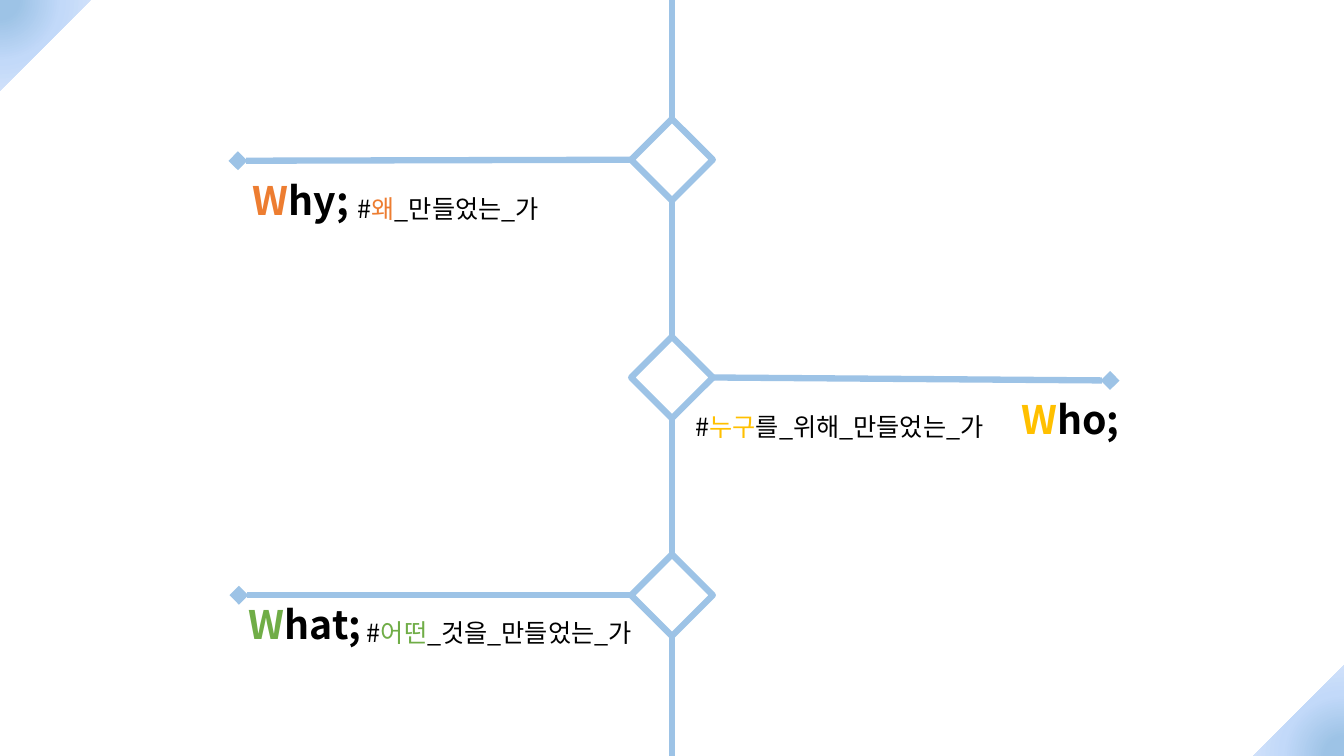
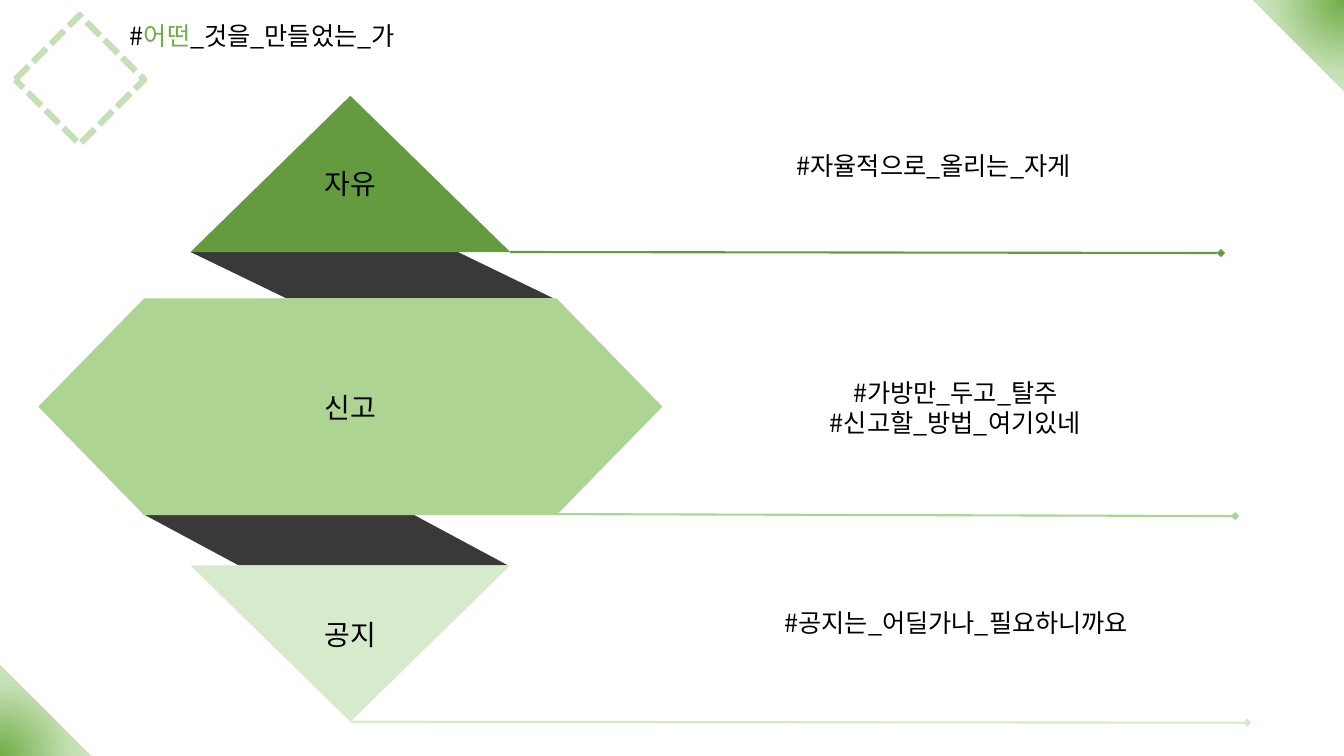
from dataclasses import dataclass

from pptx import Presentation
from pptx.dml.color import RGBColor
from pptx.enum.dml import MSO_LINE
from pptx.enum.shapes import MSO_CONNECTOR, MSO_SHAPE
from pptx.enum.text import PP_ALIGN
from pptx.oxml import parse_xml
from pptx.oxml.ns import nsdecls, qn
from pptx.oxml.xmlchemy import OxmlElement
from pptx.util import Inches, Pt


@dataclass(frozen=True)
class Theme:
    font: str = "Noto Sans CJK KR"
    caption_size: int = 18
    label_size: int = 20
    heading_size: int = 28
    thick_line: float = 4.5
    thin_line: float = 1.5
    text: str = "000000"
    white: str = "FFFFFF"
    blue: str = "9DC3E6"
    orange: str = "ED7D31"
    yellow: str = "FFC000"
    green: str = "70AD47"
    pale_green: str = "C5E0B4"
    ribbon: str = "3B3838"
    tier_dark: str = "639B3E"
    tier_middle: str = "AED494"
    tier_light: str = "D7EACB"
    blue_glow: tuple = ((14, "9DC3E6"), (48, "C2D9F9"), (100, "E2EBFB"))
    green_glow: tuple = ((0, "70AD47"), (56, "C5E0B4"), (100, "E2F0D9"))


THEME = Theme()
SLIDE_WIDTH, SLIDE_HEIGHT = 13.33, 7.5
WHAT_CAPTION = (("#", THEME.text), ("어떤", THEME.green), ("_것을_만들었는_가", THEME.text))


def color(value):
    return RGBColor.from_string(value)


def inches(*values):
    return [Inches(value) for value in values]


def paint(shape, fill=None, outline=None):
    shape.shadow.inherit = False
    if fill:
        shape.fill.solid()
        shape.fill.fore_color.rgb = color(fill)
    else:
        shape.fill.background()
    if outline:
        shape.line.color.rgb = color(outline)
        shape.line.width = Pt(THEME.thick_line)
    else:
        shape.line.fill.background()
    return shape


def add_preset(slide, preset, box, fill=None, outline=None):
    return paint(slide.shapes.add_shape(preset, *inches(*box)), fill, outline)


def add_polygon(slide, points, fill):
    corners = [tuple(inches(*point)) for point in points]
    builder = slide.shapes.build_freeform(*corners[0])
    builder.add_line_segments(corners[1:], close=True)
    return paint(builder.convert_to_shape(), fill)


def add_line(slide, start, end, line_color, width, diamond_end=True):
    connector = slide.shapes.add_connector(
        MSO_CONNECTOR.STRAIGHT, *inches(*start, *end))
    connector.line.color.rgb = color(line_color)
    connector.line.width = Pt(width)
    if diamond_end:
        tail = OxmlElement("a:tailEnd")
        tail.set("type", "diamond")
        connector.line._get_or_add_ln().append(tail)
    connector._element.spPr.append(OxmlElement("a:effectLst"))


def add_text(slide, box, paragraphs, size, align=PP_ALIGN.LEFT, bold=False):
    """Write paragraphs, each a sequence of (text, colour) runs."""
    frame = slide.shapes.add_textbox(*inches(*box)).text_frame
    frame.word_wrap = True
    for index, runs in enumerate(paragraphs):
        paragraph = frame.add_paragraph() if index else frame.paragraphs[0]
        paragraph.alignment = align
        font = paragraph.font
        font.name, font.size, font.bold = THEME.font, Pt(size), bold
        east_asian = OxmlElement("a:ea")
        east_asian.set("typeface", THEME.font)
        paragraph._p.pPr.find(qn("a:defRPr")).append(east_asian)
        for text, run_color in runs:
            run = paragraph.add_run()
            run.text = text
            run.font.color.rgb = color(run_color)


def add_corner_glow(slide, center_x, center_y, stops):
    """Diamond centred on a slide corner, fading outwards."""
    radius = 0.9
    box = (center_x - radius, center_y - radius, 2 * radius, 2 * radius)
    shape = add_preset(slide, MSO_SHAPE.DIAMOND, box)
    stop_xml = "".join(
        f'<a:gs pos="{position * 1000}"><a:srgbClr val="{value}"/></a:gs>'
        for position, value in stops)
    gradient = parse_xml(
        f'<a:gradFill {nsdecls("a")} rotWithShape="1"><a:gsLst>{stop_xml}</a:gsLst>'
        '<a:path path="circle"><a:fillToRect l="50000" t="50000" r="50000" b="50000"/>'
        '</a:path></a:gradFill>')
    properties = shape._element.spPr
    properties.replace(properties.find(qn("a:noFill")), gradient)


def add_timeline_entry(slide, top, tip, heading, heading_at, caption, caption_at):
    """Diamond, branch line and texts; tip and texts are offsets from top."""
    size = 0.81
    left = SLIDE_WIDTH / 2 - size / 2
    middle = top + size / 2
    add_preset(slide, MSO_SHAPE.DIAMOND, (left, top, size, size), THEME.white, THEME.blue)
    tip_x, tip_drop = tip
    edge = left + 0.03 if tip_x < left else left + size
    add_line(slide, (edge, middle), (tip_x, middle + tip_drop), THEME.blue, THEME.thick_line)
    accent = caption[1][1]
    runs = ((heading[0], accent), (heading[1:], THEME.text))
    heading_x, heading_drop = heading_at
    add_text(slide, (heading_x, top + heading_drop, 1.97, 0.57), [runs],
             THEME.heading_size, bold=True)
    caption_x, caption_drop, caption_width = caption_at
    add_text(slide, (caption_x, top + caption_drop, caption_width, 0.4), [caption],
             THEME.caption_size)


def build_timeline_slide(slide):
    axis = SLIDE_WIDTH / 2
    add_line(slide, (axis, 0), (axis, SLIDE_HEIGHT), THEME.blue, THEME.thick_line,
             diamond_end=False)
    why = (("#", THEME.text), ("왜", THEME.orange), ("_만들었는_가", THEME.text))
    who = (("#", THEME.text), ("누구", THEME.yellow), ("를_위해_만들었는_가", THEME.text))
    entries = (
        ((2.36, 0.01), "Why;", (2.41, 0.52), why, (3.45, 0.69, 2.06)),
        ((11.01, 0.03), "Who;", (10.03, 0.53), who, (6.8, 0.69, 3.17)),
        ((2.37, 0), "What;", (2.37, 0.41), WHAT_CAPTION, (3.54, 0.58, 3.02)),
    )
    for index, entry in enumerate(entries):
        add_timeline_entry(slide, 1.18 + 2.16 * index, *entry)
    add_corner_glow(slide, 0, 0, THEME.blue_glow)
    add_corner_glow(slide, SLIDE_WIDTH, SLIDE_HEIGHT, THEME.blue_glow)


def add_ribbon(slide, left, top, width, height):
    """Dark band leaning to the right as it descends."""
    shape = add_preset(slide, MSO_SHAPE.PARALLELOGRAM, (left, top, width, height),
                       THEME.ribbon)
    shape.adjustments[0] = 0.95 / height
    shape._element.spPr.find(qn("a:xfrm")).set("flipH", "1")


def add_hexagon(slide, left, top, width, height):
    inset, right, bottom, middle = 1.05, left + width, top + height, top + height / 2
    points = ((left + inset, top), (right - inset, top),
              (right, middle), (right - inset, bottom),
              (left + inset, bottom), (left, middle))
    add_polygon(slide, points, THEME.tier_middle)


def add_tiers(slide, left, top, width):
    """Triangle, hexagon and inverted triangle, joined by ribbons."""
    center = left + width / 2
    triangle_width, triangle_height = 3.17, 1.55
    triangle_left = center - triangle_width / 2
    add_ribbon(slide, triangle_left, top + 1.55, 3.6, 0.46)
    add_ribbon(slide, left + 1.04, top + 4.15, 3.62, 0.51)
    add_hexagon(slide, left, top + 2.01, width, 2.15)
    triangles = ((0, 0, THEME.tier_dark), (4.66, 180, THEME.tier_light))
    for drop, rotation, fill in triangles:
        box = (triangle_left, top + drop, triangle_width, triangle_height)
        add_preset(slide, MSO_SHAPE.ISOSCELES_TRIANGLE, box, fill).rotation = rotation
    for label, drop in (("자유", 0.65), ("신고", 2.88), ("공지", 5.13)):
        add_text(slide, (center - 0.5, top + drop, 1, 0.44), [((label, THEME.text),)],
                 THEME.label_size, PP_ALIGN.CENTER)


def add_tier_note(slide, start, end, line_color, box, lines):
    add_line(slide, start, end, line_color, THEME.thin_line)
    add_text(slide, box, [((line, THEME.text),) for line in lines],
             THEME.caption_size, PP_ALIGN.CENTER)


def build_tiers_slide(slide):
    add_corner_glow(slide, SLIDE_WIDTH, 0, THEME.green_glow)
    add_corner_glow(slide, 0, SLIDE_HEIGHT, THEME.green_glow)
    frame = add_preset(slide, MSO_SHAPE.DIAMOND, (0.15, 0.15, 1.28, 1.28),
                       outline=THEME.pale_green)
    frame.line.dash_style = MSO_LINE.SQUARE_DOT
    add_text(slide, (1.19, 0.15, 3.02, 0.41), [WHAT_CAPTION], THEME.caption_size)
    add_tiers(slide, 0.38, 0.95, 6.19)
    notes = (
        ((5.06, 2.5), (12.11, 2.51), THEME.tier_dark, (7.73, 1.44, 3.06, 0.4),
         ("#자율적으로_올리는_자게",)),
        ((5.51, 5.1), (12.25, 5.12), THEME.tier_middle, (8.07, 3.69, 2.81, 0.71),
         ("#가방만_두고_탈주", "#신고할_방법_여기있네")),
        ((3.48, 7.16), (12.37, 7.17), THEME.tier_light, (7.58, 5.98, 3.81, 0.4),
         ("#공지는_어딜가나_필요하니까요",)),
    )
    for note in notes:
        add_tier_note(slide, *note)


def main():
    presentation = Presentation()
    presentation.slide_width, presentation.slide_height = inches(SLIDE_WIDTH, SLIDE_HEIGHT)
    blank = presentation.slide_layouts[6]
    for build in (build_timeline_slide, build_tiers_slide):
        build(presentation.slides.add_slide(blank))
    presentation.save("out.pptx")


if __name__ == "__main__":
    main()
